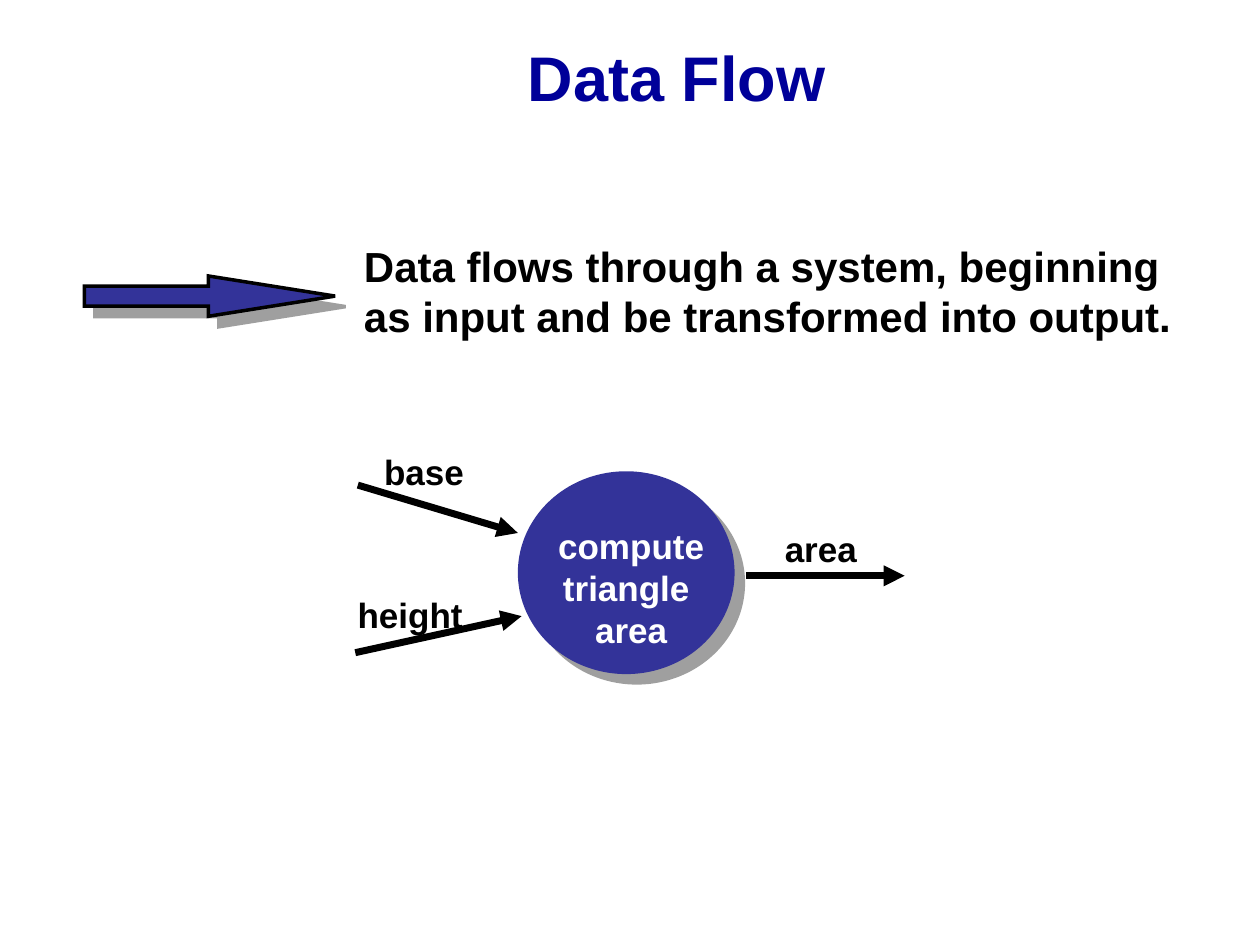
from dataclasses import dataclass

from lxml import etree
from pptx import Presentation
from pptx import util as u
from pptx.dml.color import RGBColor
from pptx.enum import shapes, text
from pptx.oxml import ns


@dataclass(frozen=True)
class Theme:
    font: str = "Arial"
    title_color: str = "000099"
    ink: str = "000000"
    accent: str = "333399"
    on_accent: str = "FFFFFF"
    shadow: str = "808080"
    title_size: int = 36
    body_size: int = 24
    label_size: int = 20
    outline: int = 2
    flow_line: int = 4


THEME = Theme()


def color(value):
    return RGBColor.from_string(value)


def place(shape, left, top, width, height):
    shape.left, shape.top = u.Inches(left), u.Inches(top)
    shape.width, shape.height = u.Inches(width), u.Inches(height)


def write(paragraph, words, size, ink, align):
    paragraph.alignment = align
    run = paragraph.add_run()
    run.text = words
    run.font.name = THEME.font
    run.font.size = u.Pt(size)
    run.font.bold = True
    run.font.color.rgb = color(ink)


def add_title(slide, words, box):
    title = slide.shapes.title
    place(title, *box)
    title.text_frame.vertical_anchor = text.MSO_ANCHOR.MIDDLE
    write(title.text_frame.paragraphs[0], words, THEME.title_size,
          THEME.title_color, text.PP_ALIGN.CENTER)


def add_text(slide, lines, box, size, ink=THEME.ink,
             align=text.PP_ALIGN.LEFT):
    frame = slide.shapes.add_textbox(*map(u.Inches, box)).text_frame
    frame.word_wrap = True
    for index, line in enumerate(lines):
        paragraph = frame.add_paragraph() if index else frame.paragraphs[0]
        write(paragraph, line, size, ink, align)


def add_shadowed_shape(slide, kind, box):
    shape = slide.shapes.add_shape(kind, *map(u.Inches, box))
    shape.fill.solid()
    shape.fill.fore_color.rgb = color(THEME.accent)
    shape.line.fill.background()
    # Hard shadow towards the lower right
    shape.shadow.inherit = False
    effects = shape._element.spPr.find(ns.qn("a:effectLst"))
    shadow = etree.SubElement(effects, ns.qn("a:outerShdw"), blurRad="0",
                              dist=str(u.Pt(8.5)), dir="2700000",
                              algn="ctr", rotWithShape="0")
    tint = etree.SubElement(shadow, ns.qn("a:srgbClr"), val=THEME.shadow)
    etree.SubElement(tint, ns.qn("a:alpha"), val="75000")
    return shape


def add_flow(slide, start, end):
    flow = slide.shapes.add_connector(shapes.MSO_CONNECTOR.STRAIGHT,
                                      *map(u.Inches, start + end))
    flow.line.width = u.Pt(THEME.flow_line)
    flow.line.color.rgb = color(THEME.ink)
    properties = flow._element.spPr
    etree.SubElement(properties.find(ns.qn("a:ln")), ns.qn("a:tailEnd"),
                     type="triangle")
    etree.SubElement(properties, ns.qn("a:effectLst"))


def main():
    presentation = Presentation()
    presentation.slide_width = u.Inches(10)
    presentation.slide_height = u.Inches(7.5)
    slide = presentation.slides.add_slide(presentation.slide_layouts[5])

    add_title(slide, "Data Flow", (2.03, 0.21, 6.68, 0.79))

    # Statement with its pointer
    pointer = add_shadowed_shape(slide, shapes.MSO_SHAPE.RIGHT_ARROW,
                                 (0.67, 2.19, 1.99, 0.32))
    pointer.adjustments[1] = 3.145
    pointer.line.color.rgb = color(THEME.ink)
    pointer.line.width = u.Pt(THEME.outline)
    etree.SubElement(pointer._element.spPr.find(ns.qn("a:ln")),
                     ns.qn("a:miter"), lim="800000")
    add_text(slide, ["Data flows through a system, beginning as input "
                     "and be transformed into output."],
             (2.79, 1.86, 6.65, 0.9), THEME.body_size)

    # Process
    add_shadowed_shape(slide, shapes.MSO_SHAPE.OVAL, (4.11, 3.74, 1.72, 1.61))
    add_text(slide, ["compute", "triangle ", "area"], (4.28, 4.11, 1.46, 1.43),
             THEME.label_size, THEME.on_accent, text.PP_ALIGN.CENTER)

    # Inputs and output
    for start, end in [((2.84, 3.85), (4.11, 4.23)),
                       ((2.82, 5.18), (4.14, 4.89)),
                       ((5.92, 4.57), (7.18, 4.57))]:
        add_flow(slide, start, end)
    for label, left, top, width in [("base", 2.95, 3.53, 0.9),
                                    ("height", 2.74, 4.66, 1.1),
                                    ("area", 6.13, 4.14, 0.85)]:
        add_text(slide, [label], (left, top, width, 0.43), THEME.label_size)

    presentation.save("out.pptx")


if __name__ == "__main__":
    main()
